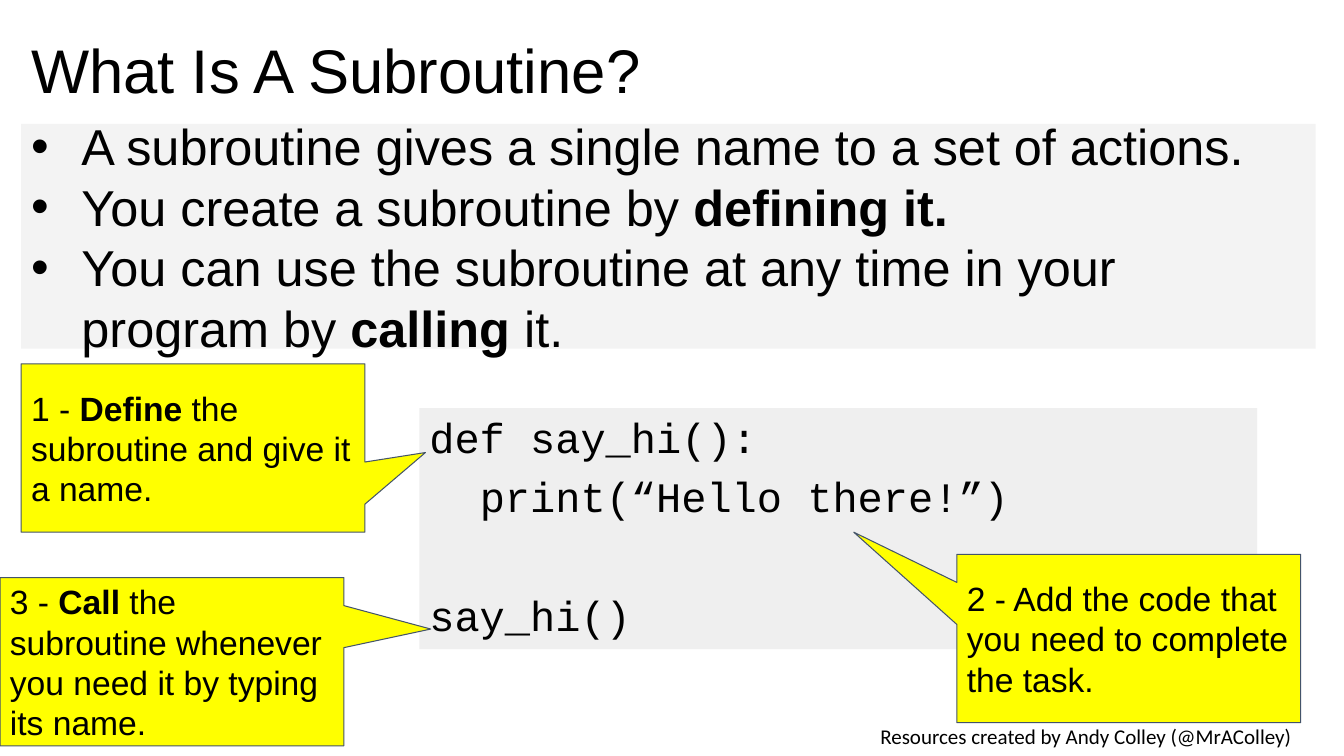
from pptx import Presentation
from pptx.dml.color import RGBColor
from pptx.enum.shapes import MSO_SHAPE as Shape
from pptx.enum.text import MSO_ANCHOR as Anchor, MSO_AUTO_SIZE as Fit, PP_ALIGN as Align
from pptx.util import Inches, Pt
from lxml.etree import SubElement
from pptx.oxml.ns import qn

BLACK = RGBColor(0x00, 0x00, 0x00)
LIGHT = RGBColor(0xF3, 0xF3, 0xF3)
GREY = RGBColor(0xEF, 0xEF, 0xEF)
YELLOW = RGBColor(0xFF, 0xFF, 0x00)
SLATE = RGBColor(0x44, 0x54, 0x6A)

TITLE = "What Is A Subroutine?"
POINTS = [
    "A subroutine gives a single name to a set of actions.",
    "You create a subroutine by *defining it.*",
    "You can use the subroutine at any time in your program by *calling *it.",
]
CODE = [
    ("def say_hi():", 0, 10),
    ("print(“Hello there!”)", 0.5, 10),
    ("say_hi()", 0, 52),
]
CREDIT = "Resources created by Andy Colley (@MrAColley)"
NOTE_SIZE = (3.41, 1.67)
NOTES = [
    (0.21, 3.61, (0.676, 0.027, 0), "1 - *Define* the subroutine and give it a name."),
    (9.49, 5.5, (-0.8, -0.632, 0), "2 - Add the code that you need to complete the task."),
    (0, 5.73, (0.753, -0.194, 0),
     "3 - *Call *the subroutine whenever you need it by typing its name."),
]


def place(shape, box):
    """Move a shape to a box given in inches."""
    shape.left, shape.top, shape.width, shape.height = map(Inches, box)


def set_frame(shape, pad):
    """Prepare a wrapped, middle-anchored text frame with the given vertical inset."""
    frame = shape.text_frame
    frame.word_wrap = True
    frame.auto_size = Fit.NONE
    frame.vertical_anchor = Anchor.MIDDLE
    frame.margin_left = frame.margin_right = Inches(0.1)
    frame.margin_top = frame.margin_bottom = Inches(pad)
    return frame


def write(para, text, size, face="Arial", align=Align.LEFT):
    """Write text in one font, with the parts between asterisks in bold."""
    para.alignment = align
    font = para.font
    font.size, font.name, font.color.rgb = Pt(size), face, BLACK
    for i, part in enumerate(text.split("*")):
        if part:
            run = para.add_run()
            run.text = part
            if i % 2:
                run.font.bold = True


def add_paras(frame, count):
    """Return the given number of paragraphs of an empty frame."""
    return [frame.paragraphs[0]] + [frame.add_paragraph() for _ in range(count - 1)]


def add_block(slide, kind, box, fill):
    """Add a flat filled shape without an outline."""
    shape = slide.shapes.add_shape(kind, *map(Inches, box))
    shape.shadow.inherit = False
    shape.fill.solid()
    shape.fill.fore_color.rgb = fill
    shape.line.fill.background()
    return shape


def add_title(slide, box):
    """Place and format the title placeholder."""
    title = slide.shapes.title
    place(title, box)
    para = set_frame(title, 0.05).paragraphs[0]
    para.line_spacing = 0.9
    write(para, TITLE, 44)


def add_points(slide, box):
    """Add the panel of bulleted points."""
    frame = set_frame(add_block(slide, Shape.RECTANGLE, box, LIGHT), 0.05)
    for para, text in zip(add_paras(frame, len(POINTS)), POINTS):
        props = para._p.get_or_add_pPr()
        props.set("marL", str(Inches(0.5)))
        props.set("indent", str(Inches(-0.5)))
        SubElement(props, qn("a:buFont")).set("typeface", "Arial")
        SubElement(props, qn("a:buChar")).set("char", "•")
        write(para, text, 36)


def add_code(slide, box):
    """Add the panel of program code."""
    frame = set_frame(add_block(slide, Shape.RECTANGLE, box, GREY), 0.05)
    for para, (text, indent, gap) in zip(add_paras(frame, len(CODE)), CODE):
        para._p.get_or_add_pPr().set("indent", str(Inches(indent)))
        para.line_spacing = 0.9
        para.space_before = Pt(gap)
        write(para, text, 30, "Courier New")


def add_note(slide, box, tip, text):
    """Add a yellow callout whose tip points at the code."""
    note = add_block(slide, Shape.ROUNDED_RECTANGULAR_CALLOUT, box, YELLOW)
    note.line.color.rgb = SLATE
    note.line.width = Pt(0.75)
    for i, value in enumerate(tip):
        note.adjustments[i] = value
    write(set_frame(note, 0.1).paragraphs[0], text, 24)


def add_credit(slide, box):
    """Add the author line at the foot of the slide."""
    foot = slide.shapes.add_textbox(*map(Inches, box))
    write(set_frame(foot, 0.1).paragraphs[0], CREDIT, 15, "Calibri", Align.CENTER)


def build():
    """Build the slide and save it."""
    deck = Presentation()
    deck.slide_width, deck.slide_height = Inches(13.33), Inches(7.5)
    slide = deck.slides.add_slide(deck.slide_layouts[5])
    add_credit(slide, (8.21, 7.1, 5.12, 0.4))
    add_title(slide, (0.21, 0, 11.5, 1.45))
    add_points(slide, (0.21, 1.23, 12.84, 2.23))
    add_code(slide, (4.16, 4.05, 8.31, 2.39))
    for left, top, tip, text in NOTES:
        add_note(slide, (left, top, *NOTE_SIZE), tip, text)
    deck.save("out.pptx")


build()
